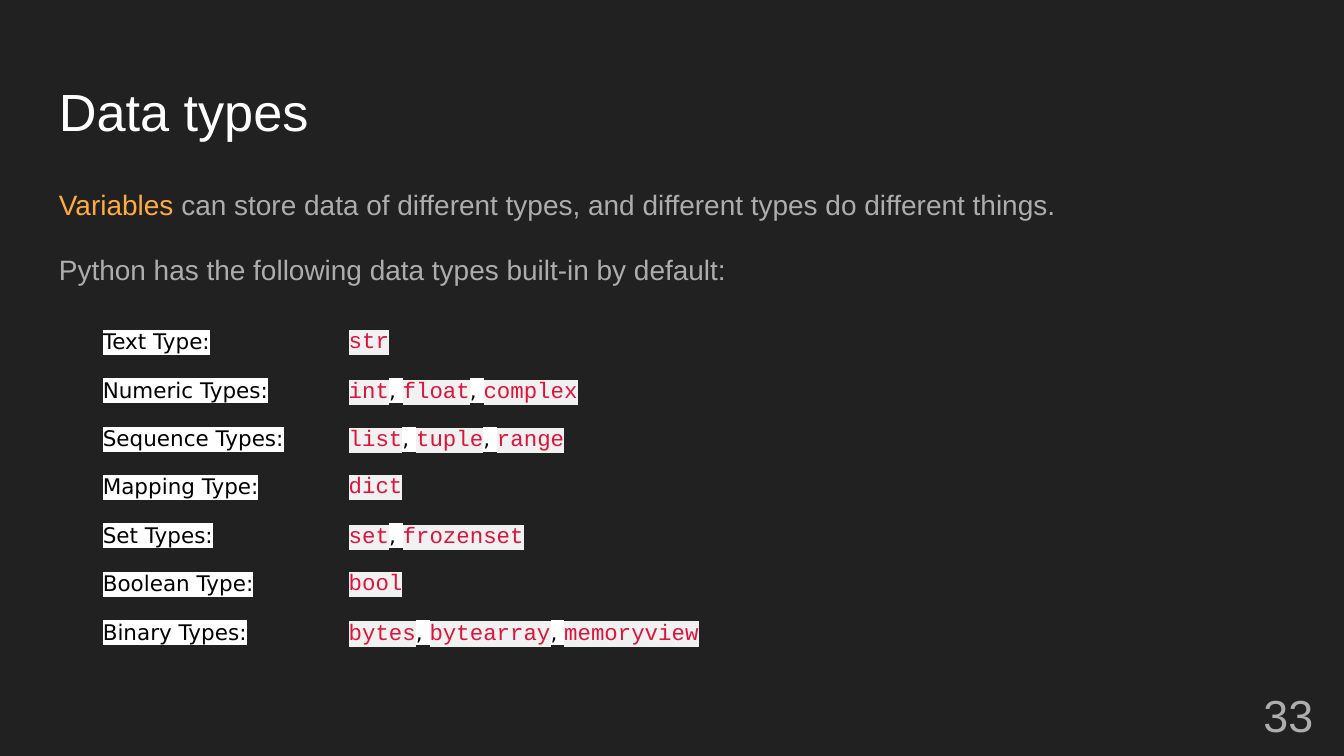
from dataclasses import dataclass

from lxml.etree import SubElement
from pptx import Presentation
from pptx.dml.color import RGBColor
from pptx.enum.text import MSO_ANCHOR, PP_ALIGN
from pptx.oxml.ns import qn
from pptx.util import Pt

SCALE = 4572
PLAIN_TABLE = "{2D5ABB26-0587-4C30-8999-92F81FD0307C}"


@dataclass(frozen=True)
class Style:
    size: float
    font: str
    color: str
    highlight: str = ""


@dataclass(frozen=True)
class Theme:
    background: str = "212121"
    title: Style = Style(28, "Arial", "FFFFFF")
    body: Style = Style(15, "Arial", "ADADAD")
    accent: Style = Style(15, "Arial", "FFAB40")
    number: Style = Style(24, "Arial", "ADADAD")
    label: Style = Style(11.5, "DejaVu Sans", "000000", "FFFFFF")
    code: Style = Style(12, "Courier New", "DC143C", "F1F1F1")


THEME = Theme()

DATA_TYPES = {
    "Text Type:": ["str"],
    "Numeric Types:": ["int", "float", "complex"],
    "Sequence Types:": ["list", "tuple", "range"],
    "Mapping Type:": ["dict"],
    "Set Types:": ["set", "frozenset"],
    "Boolean Type:": ["bool"],
    "Binary Types:": ["bytes", "bytearray", "memoryview"],
}


def px(length):
    return length * SCALE


def apply(target, values):
    for name, value in values.items():
        setattr(target, name, value)


def add_span(para, text, style):
    span = para.add_run()
    span.text = text
    apply(span.font, {"size": Pt(style.size), "name": style.font})
    span.font.color.rgb = RGBColor.from_string(style.color)
    if style.highlight:
        properties = span.font._element
        highlight = SubElement(properties, qn("a:highlight"))
        SubElement(highlight, qn("a:srgbClr"), val=style.highlight)
        properties.find(qn("a:solidFill")).addnext(highlight)


def add_text(page, box, paragraphs, para_format, anchor=MSO_ANCHOR.TOP):
    frame = page.shapes.add_textbox(*map(px, box)).text_frame
    margins = {f"margin_{side}": px(20) for side in ("left", "top", "right", "bottom")}
    apply(frame, {"word_wrap": True, "vertical_anchor": anchor, **margins})
    for index, spans in enumerate(paragraphs):
        para = frame.add_paragraph() if index else frame.paragraphs[0]
        apply(para, para_format)
        for text, style in spans:
            add_span(para, text, style)


def add_title(page, box):
    add_text(page, box, [[("Data types", THEME.title)]], {})


def add_introduction(page, box):
    paragraphs = [
        [
            ("Variables", THEME.accent),
            (" can store data of different types, and different types do different things.", THEME.body),
        ],
        [("Python has the following data types built-in by default:", THEME.body)],
    ]
    add_text(page, box, paragraphs, {"line_spacing": 1.15, "space_before": Pt(14)})


def add_page_number(page, box):
    add_text(page, box, [[("33", THEME.number)]], {"alignment": PP_ALIGN.RIGHT}, MSO_ANCHOR.MIDDLE)


def fill_cell(cell, spans, left_margin):
    cell.fill.background()
    margins = {f"margin_{side}": px(15) for side in ("top", "right", "bottom")}
    apply(cell, {"margin_left": px(left_margin), **margins})
    for text, style in spans:
        add_span(cell.text_frame.paragraphs[0], text, style)


def add_type_table(page, box):
    left, top, width, height = map(px, box)
    table = page.shapes.add_table(len(DATA_TYPES), 2, left, top, width, height).table
    apply(table, {"first_row": False, "horz_banding": False})
    table._tbl.tblPr.find(qn("a:tableStyleId")).text = PLAIN_TABLE
    label_width = px(384)
    table.columns[0].width = label_width
    table.columns[1].width = width - label_width
    for row, (label, names) in enumerate(DATA_TYPES.items()):
        spans = []
        for name in names:
            if spans:
                spans.append((", ", THEME.label))
            spans.append((name, THEME.code))
        fill_cell(table.cell(row, 0), [(label, THEME.label)], 33)
        fill_cell(table.cell(row, 1), spans, 15)


def build_data_types_page(deck):
    page = deck.slides.add_slide(deck.slide_layouts[6])
    page.background.fill.solid()
    page.background.fill.fore_color.rgb = RGBColor.from_string(THEME.background)
    add_title(page, (68, 98, 1864, 126))
    add_introduction(page, (68, 252, 1864, 826))
    add_page_number(page, (1854, 1020, 120, 86))
    add_type_table(page, (120, 476, 1702, 72 * len(DATA_TYPES)))


def main():
    deck = Presentation()
    apply(deck, {"slide_width": px(2000), "slide_height": px(1125)})
    build_data_types_page(deck)
    deck.save("out.pptx")


if __name__ == "__main__":
    main()
